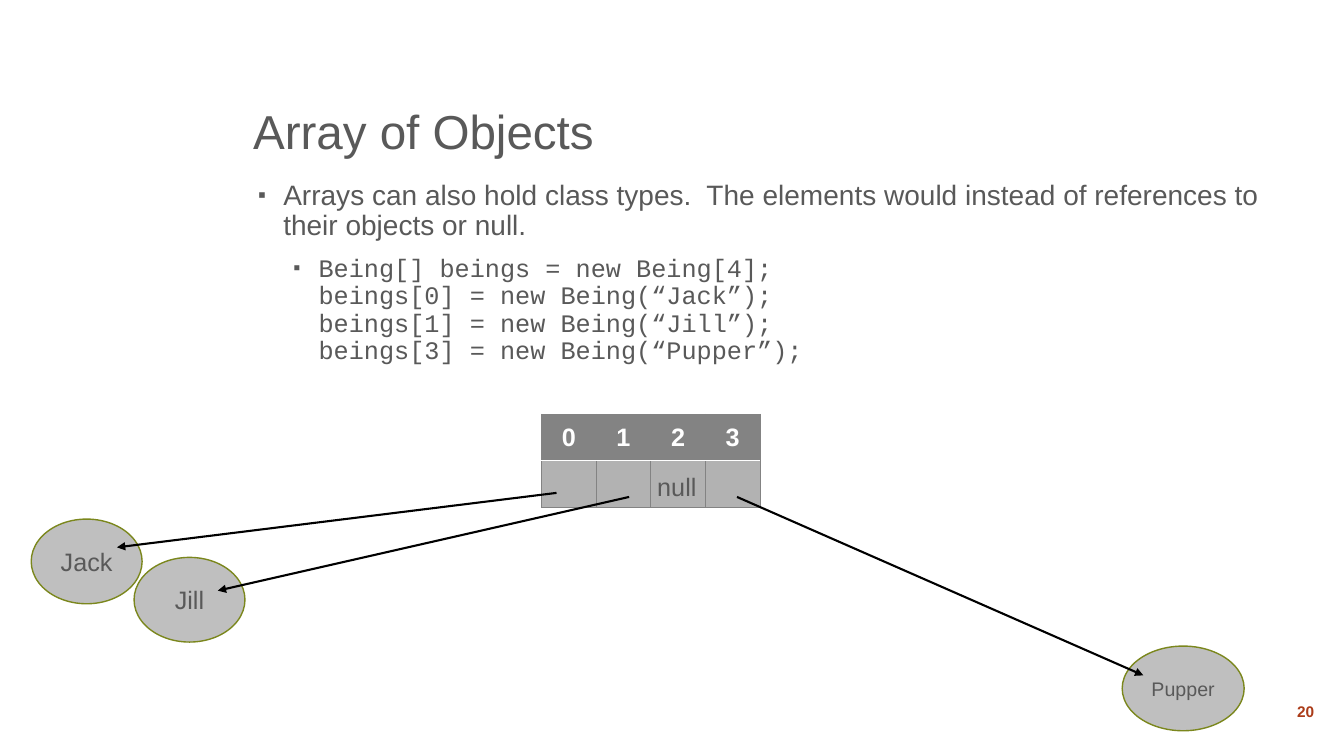
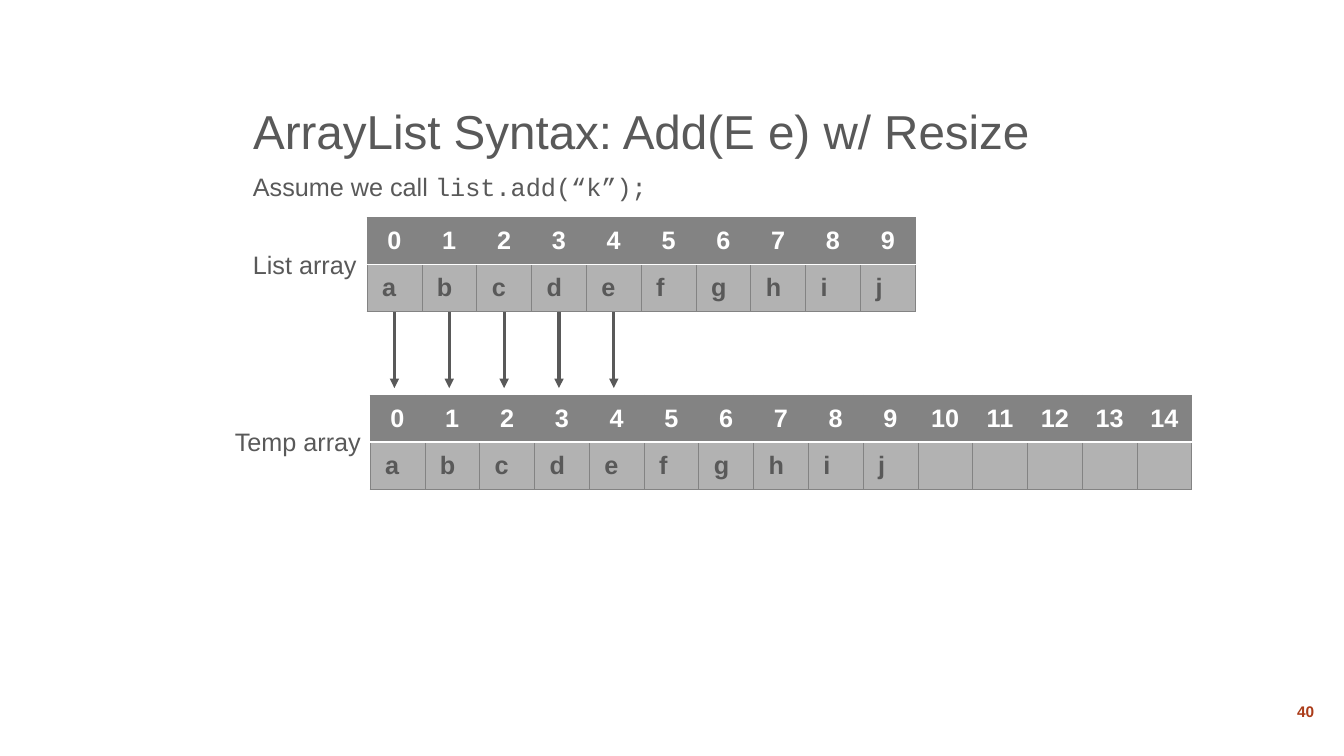
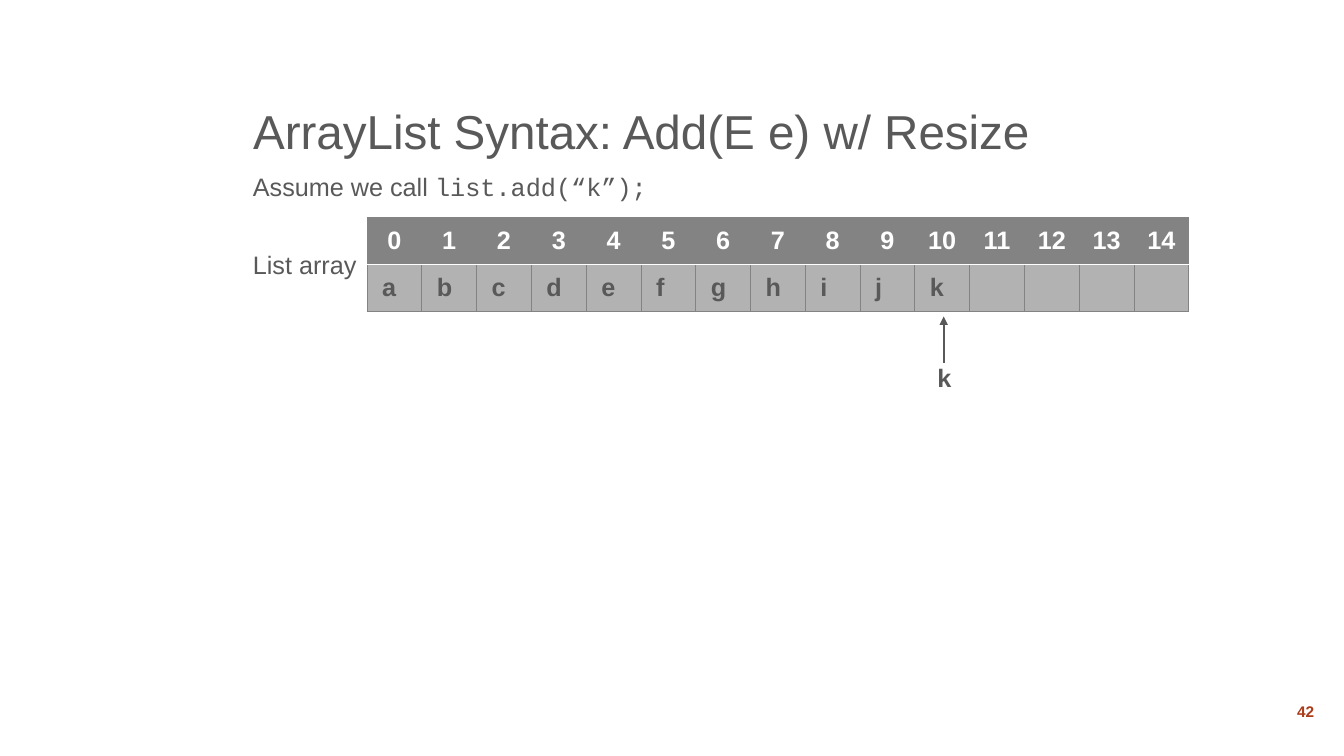
from lxml.etree import SubElement
from pptx import Presentation
from pptx.dml.color import RGBColor
from pptx.enum.shapes import MSO_CONNECTOR as Connector, MSO_SHAPE as Shape
from pptx.enum.text import MSO_ANCHOR as Anchor, MSO_AUTO_SIZE as AutoSize, PP_ALIGN as Align
from pptx.oxml.ns import qn
from pptx.util import Inches, Pt

COLORS = {
    "text": "595959",
    "number": "AB3C19",
    "header": "838383",
    "cell": "B2B2B2",
    "ellipse": "BFBFBF",
    "outline": "7B871D",
    "white": "FFFFFF",
    "black": "000000",
}
SANS, MONO = "Arial", "Courier New"
TITLE_ONLY, TITLE_AND_BODY = 5, 1
LEFT, CONTENT_WIDTH = 2.41, 10.25
LIST_LEFT, LIST_TOP = 3.64, 2.16
TEMP_LEFT, TEMP_TOP = 3.67, 3.92
LETTERS = "abcdefghij"


def rgb(name):
    return RGBColor.from_string(COLORS[name])


def place(shape, left, top, width, height):
    shape.left, shape.top = Inches(left), Inches(top)
    shape.width, shape.height = Inches(width), Inches(height)


def add_border(cell, side, color, points):
    line = SubElement(cell._tc.get_or_add_tcPr(), qn(f"a:ln{side}"), w=str(Pt(points)))
    fill = SubElement(line, qn("a:solidFill"))
    SubElement(fill, qn("a:srgbClr"), val=COLORS[color])


class Deck:
    def __init__(self):
        self.deck = Presentation()
        self.deck.slide_width, self.deck.slide_height = Inches(13.33), Inches(7.5)
        self.page = None

    def style(self, para, size=18, color="text", font=SANS, bold=False, align=Align.LEFT):
        para.alignment = align
        para.font.size, para.font.name, para.font.bold = Pt(size), font, bold
        para.font.color.rgb = rgb(color)

    def add_page(self, title, number, layout=TITLE_ONLY):
        self.page = self.deck.slides.add_slide(self.deck.slide_layouts[layout])
        box = self.page.shapes.title
        place(box, LEFT, 0.33, CONTENT_WIDTH, 1.31)
        frame = box.text_frame
        frame.text = title
        frame.auto_size, frame.vertical_anchor = AutoSize.NONE, Anchor.BOTTOM
        frame.paragraphs[0].line_spacing = 0.9
        self.style(frame.paragraphs[0], size=34)

        box = self.page.shapes.add_textbox(Inches(12.66), Inches(6.87), Inches(0.58), Inches(0.38))
        frame = box.text_frame
        frame.text = str(number)
        frame.word_wrap, frame.vertical_anchor = True, Anchor.MIDDLE
        self.style(frame.paragraphs[0], size=11, color="number", bold=True, align=Align.CENTER)

    def bullets(self, items):
        """Fill the body; items are (text, level, size, font, indent, space before)."""
        body = self.page.placeholders[1]
        place(body, LEFT, 1.75, CONTENT_WIDTH, 4.5)
        frame = body.text_frame
        frame.auto_size = AutoSize.NONE
        for index, (text, level, size, font, indent, before) in enumerate(items):
            para = frame.add_paragraph() if index else frame.paragraphs[0]
            para.text, para.level = text, level
            props = para._p.get_or_add_pPr()
            props.set("marL", str(Inches(indent)))
            props.set("indent", str(Inches(-0.25)))
            SubElement(props, qn("a:buSzPct"), val="80000")
            SubElement(props, qn("a:buFont"), typeface=SANS)
            SubElement(props, qn("a:buChar"), char="▪")
            para.line_spacing, para.space_before = 0.9, Pt(before)
            self.style(para, size=size, font=font)

    def label(self, left, top, width, *parts, bold=False):
        """Add a one-line text box; parts are (text, font) pairs."""
        box = self.page.shapes.add_textbox(Inches(left), Inches(top), Inches(width), Inches(0.4))
        frame = box.text_frame
        frame.word_wrap, frame.auto_size = False, AutoSize.SHAPE_TO_FIT_TEXT
        para = frame.paragraphs[0]
        self.style(para, bold=bold)
        for text, font in parts:
            span = para.add_run()
            span.text = text
            if font != SANS:
                span.font.name = font

    def array(self, left, top, width, count, values="", height=0.93):
        """Add a table with indices above and the stored values below."""
        frame = self.page.shapes.add_table(
            2, count, Inches(left), Inches(top), Inches(width), Inches(height))
        table = frame.table
        for row in table.rows:
            row.height = Inches(height / 2)
        for index in range(count):
            table.columns[index].width = Inches(width / count)
            value = values[index] if index < len(values) else ""
            self.cell(table.cell(0, index), str(index), "header", "white", Align.CENTER, 0.08)
            self.cell(table.cell(1, index), value, "cell", "text", Align.LEFT, 0.15)

    def cell(self, cell, text, fill, color, align, margin):
        cell.text = text
        cell.vertical_anchor = Anchor.MIDDLE
        cell.margin_left = Inches(margin)
        cell.margin_right = cell.margin_top = cell.margin_bottom = Inches(0.08)
        divider = "B" if fill == "header" else "T"
        for side in "LRTB":
            if side == divider:
                add_border(cell, side, "white", 1)
            else:
                add_border(cell, side, "header", 0.5)
        cell.fill.solid()
        cell.fill.fore_color.rgb = rgb(fill)
        self.style(cell.text_frame.paragraphs[0], color=color, bold=True, align=align)

    def ellipse(self, left, top, width, text, size=18):
        shape = self.page.shapes.add_shape(
            Shape.OVAL, Inches(left), Inches(top), Inches(width), Inches(0.84))
        shape.shadow.inherit = False
        shape.fill.solid()
        shape.fill.fore_color.rgb = rgb("ellipse")
        shape.line.color.rgb, shape.line.width = rgb("outline"), Pt(1)
        frame = shape.text_frame
        frame.text, frame.vertical_anchor = text, Anchor.MIDDLE
        self.style(frame.paragraphs[0], size=size, align=Align.CENTER)

    def arrow(self, start, end, color="text", points=1.5):
        line = self.page.shapes.add_connector(
            Connector.STRAIGHT, *(Inches(value) for value in (*start, *end)))
        line.line.color.rgb, line.line.width = rgb(color), Pt(points)
        SubElement(line.line._get_or_add_ln(), qn("a:tailEnd"), type="triangle")
        SubElement(line._element.spPr, qn("a:effectLst"))

    def add_resize_page(self, number):
        self.add_page("ArrayList Syntax: Add(E e) w/ Resize", number)
        self.label(LEFT, 1.65, 4.15, ("Assume we call ", SANS), ("list.add(“k”);", MONO))
        self.label(LEFT, 2.42, 1.27, ("List array", SANS))


def main():
    deck = Deck()

    deck.add_page("Array of Objects", 20, TITLE_AND_BODY)
    code = "\n".join([
        "Being[] beings = new Being[4];",
        "beings[0] = new Being(“Jack”);",
        "beings[1] = new Being(“Jill”);",
        "beings[3] = new Being(“Pupper”);",
    ])
    deck.bullets([
        ("Arrays can also hold class types.  The elements would instead of references to "
         "their objects or null.", 0, 20, SANS, 0.3, 18),
        (code, 1, 18, MONO, 0.65, 10),
    ])
    deck.array(5.37, 4.11, 2.17, 4, height=0.89)
    deck.ellipse(0.31, 5.15, 1.1, "Jack")
    deck.ellipse(1.33, 5.53, 1.1, "Jill")
    deck.ellipse(11.13, 6.41, 1.21, "Pupper", size=14)
    for start, end in [
        ((5.52, 4.89), (1.16, 5.43)),
        ((6.24, 4.93), (2.16, 5.86)),
        ((7.31, 4.93), (11.34, 6.7)),
    ]:
        deck.arrow(start, end, color="black")
    deck.label(6.42, 4.63, 0.65, ("null", SANS))

    deck.add_resize_page(40)
    deck.array(TEMP_LEFT, TEMP_TOP, 8.15, 15, LETTERS)
    column = 5.44 / 10
    for index in range(5):
        center = LIST_LEFT + (index + 0.5) * column
        deck.arrow((center, 3.04), (center, 3.85), points=2.25)
    deck.array(LIST_LEFT, LIST_TOP, 5.44, 10, LETTERS)
    deck.label(2.23, 4.18, 1.49, ("Temp array", SANS))

    deck.add_resize_page(42)
    deck.array(LIST_LEFT, LIST_TOP, 8.15, 15, LETTERS + "k")
    deck.arrow((9.36, 3.6), (9.36, 3.14))
    deck.label(9.2, 3.55, 0.33, ("k", SANS), bold=True)

    deck.deck.save("out.pptx")


if __name__ == "__main__":
    main()
